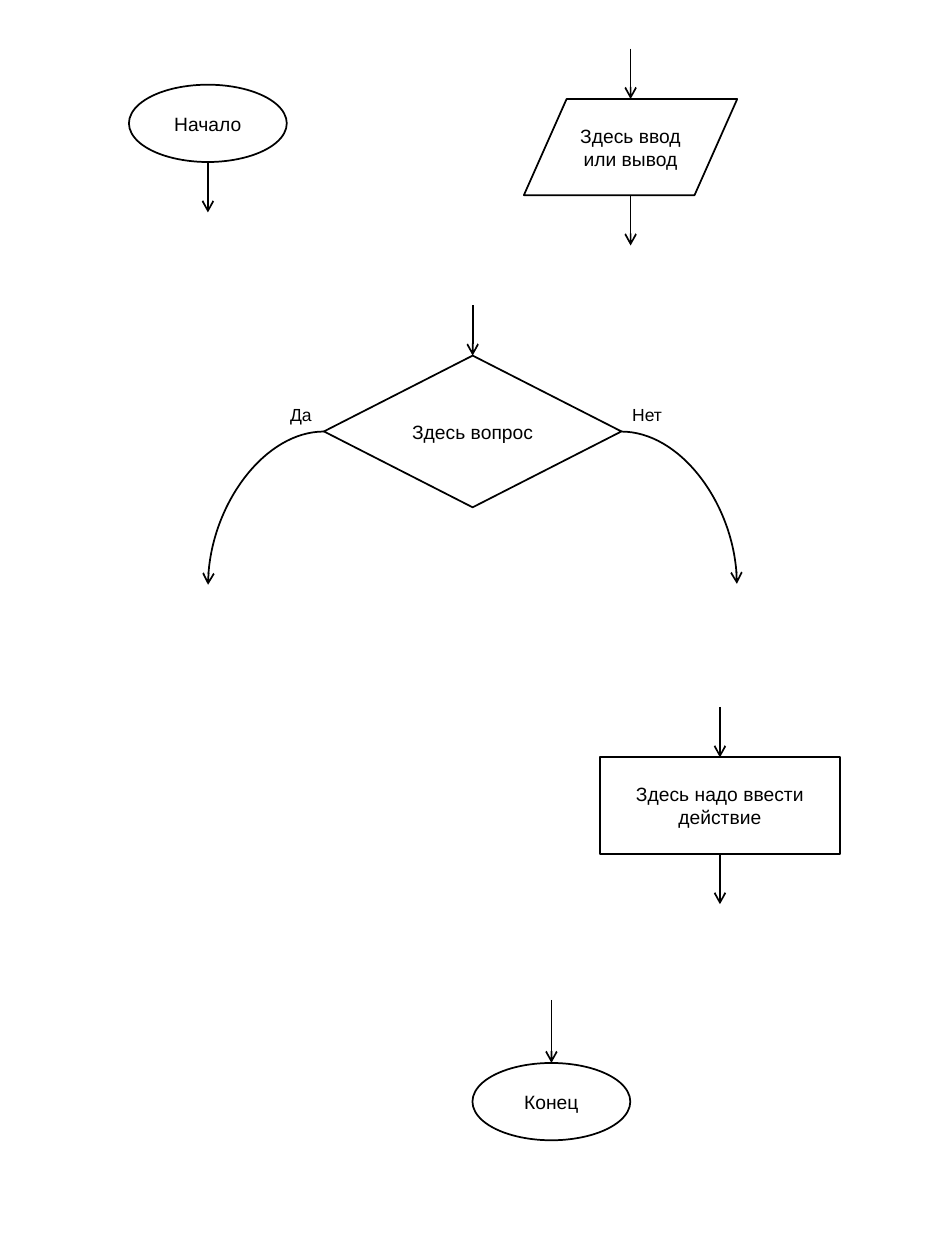
from lxml import etree
from pptx import Presentation
from pptx.dml.color import RGBColor
from pptx.enum.shapes import MSO_CONNECTOR, MSO_SHAPE
from pptx.enum.text import MSO_ANCHOR, MSO_AUTO_SIZE, PP_ALIGN
from pptx.oxml.ns import qn
from pptx.util import Pt

ELLIPSE = MSO_SHAPE.OVAL
INPUT_OUTPUT = MSO_SHAPE.FLOWCHART_DATA
DIAMOND = MSO_SHAPE.DIAMOND
RECTANGLE = MSO_SHAPE.RECTANGLE
STRAIGHT, CURVE = MSO_CONNECTOR.STRAIGHT, MSO_CONNECTOR.CURVE
LEFT, CENTER, RIGHT = PP_ALIGN.LEFT, PP_ALIGN.CENTER, PP_ALIGN.RIGHT
MIDDLE, TOP = MSO_ANCHOR.MIDDLE, MSO_ANCHOR.TOP
FIT_SHAPE = MSO_AUTO_SIZE.SHAPE_TO_FIT_TEXT

BLACK, WHITE = "000000", "FFFFFF"
ARROW_LENGTH = 28.8

# kind, text, (left, top, width, height), arrow length in, arrow length out
NODES = [
    (ELLIPSE, "Начало", (73.7, 48.4, 90.2, 44.2), 0, ARROW_LENGTH),
    (INPUT_OUTPUT, "Здесь ввод или вывод", (299.4, 56.6, 121.9, 54.9),
     ARROW_LENGTH, ARROW_LENGTH),
    (DIAMOND, "Здесь вопрос", (185.1, 203.2, 170, 86.7), ARROW_LENGTH, 0),
    (RECTANGLE, "Здесь надо ввести действие", (342.8, 432.8, 137.2, 55.1),
     ARROW_LENGTH, ARROW_LENGTH),
    (ELLIPSE, "Конец", (270, 607.4, 90.2, 44.2), 36, 0),
]

# text, (left, top, width, height), alignment
LABELS = [
    ("Да", (158.2, 227.3, 26.9, 19.4), RIGHT),
    ("Нет", (354.2, 227.3, 32.4, 19.4), LEFT),
]

# begin x, begin y, end x, end y
BRANCHES = [
    (185.1, 246.6, 118.9, 334.2),
    (355.1, 246.6, 421.1, 333.6),
]


def color(value):
    return RGBColor.from_string(value)


def apply_format(target, values):
    for name, value in values.items():
        setattr(target, name, value)


def draw_line(item):
    item.line.color.rgb = color(BLACK)
    item.line.width = Pt(1)


def write_text(item, text, size, align, frame_format):
    frame = item.text_frame
    apply_format(frame, frame_format)
    para = frame.paragraphs[0]
    para.alignment = align
    span = para.add_run()
    span.text = text
    apply_format(span.font, {"name": "Arial", "size": Pt(size)})
    span.font.color.rgb = color(BLACK)


def add_arrow(page, kind, *ends):
    arrow = page.shapes.add_connector(kind, *map(Pt, ends))
    draw_line(arrow)
    properties = arrow._element.spPr
    if kind == CURVE:
        # A quarter bend leaves sideways and arrives downwards
        properties.find(qn("a:prstGeom")).set("prst", "curvedConnector2")
    outline = properties.find(qn("a:ln"))
    etree.SubElement(outline, qn("a:tailEnd"), type="arrow")
    etree.SubElement(properties, qn("a:effectLst"))


def add_node(page, kind, text, place, length_in, length_out):
    box = page.shapes.add_shape(kind, *map(Pt, place))
    box.shadow.inherit = False
    box.fill.solid()
    box.fill.fore_color.rgb = color(WHITE)
    draw_line(box)
    write_text(box, text, 11, CENTER,
               {"word_wrap": True, "vertical_anchor": MIDDLE})

    # Arrows into the top and out of the bottom
    left, top, width, height = place
    middle, bottom = left + width / 2, top + height
    if length_in:
        add_arrow(page, STRAIGHT, middle, top - length_in, middle, top)
    if length_out:
        add_arrow(page, STRAIGHT, middle, bottom, middle, bottom + length_out)


def add_label(page, text, place, align):
    box = page.shapes.add_textbox(*map(Pt, place))
    write_text(box, text, 10, align,
               {"word_wrap": False, "vertical_anchor": TOP,
                "auto_size": FIT_SHAPE})


def main():
    deck = Presentation()
    apply_format(deck, {"slide_width": Pt(540), "slide_height": Pt(720)})
    page = deck.slides.add_slide(deck.slide_layouts[6])

    for node in NODES:
        add_node(page, *node)
    # Answers of the question
    for label in LABELS:
        add_label(page, *label)
    for branch in BRANCHES:
        add_arrow(page, CURVE, *branch)

    deck.save("out.pptx")


main()
